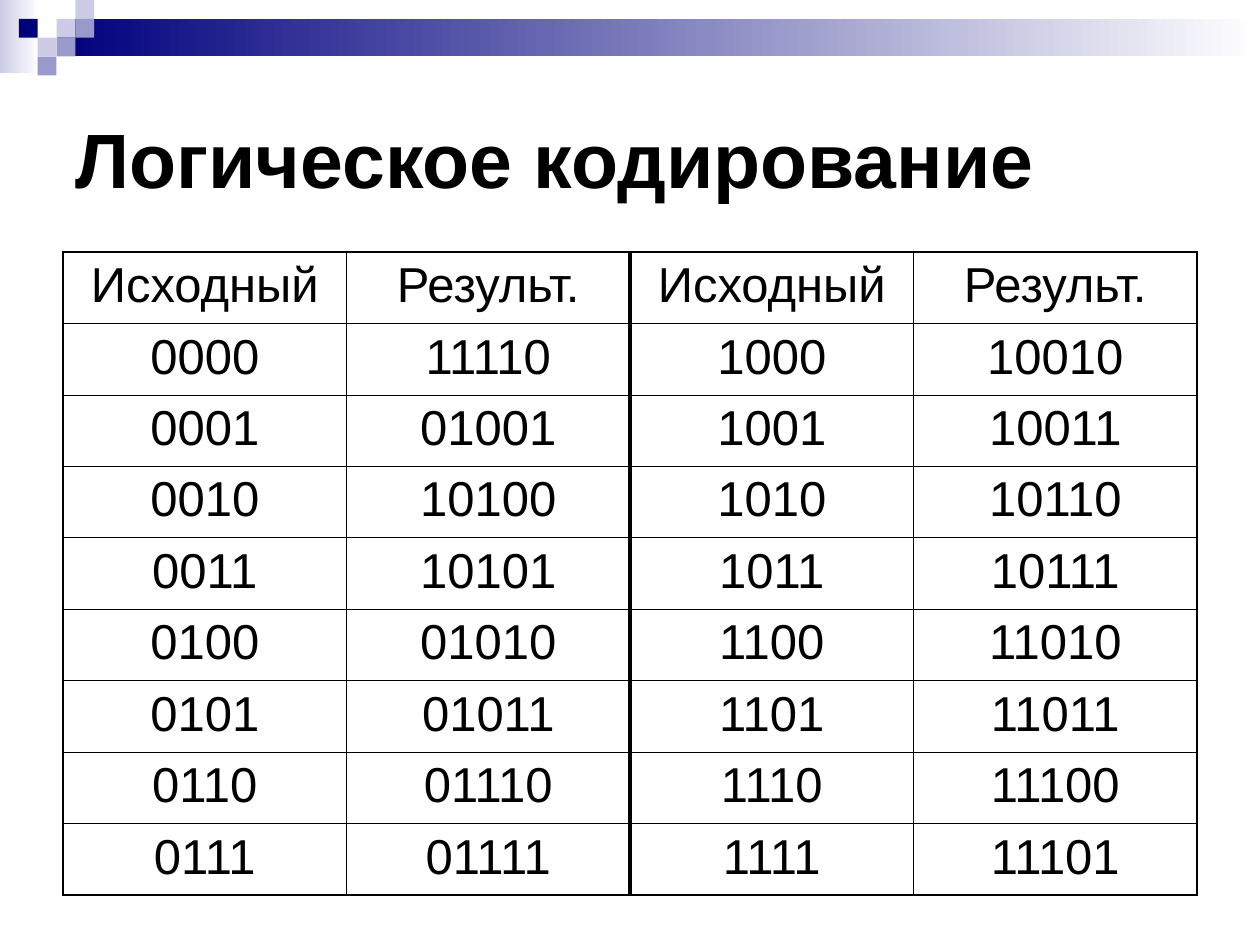
from pptx import Presentation
from pptx.dml.color import RGBColor
from pptx.enum.shapes import MSO_SHAPE as Shape
from pptx.enum.text import MSO_ANCHOR as Anchor, MSO_AUTO_SIZE as AutoSize, PP_ALIGN as Align
from pptx.oxml import parse_xml
from pptx.oxml.ns import nsdecls
from pptx.util import Cm, Pt

NAVY, VIOLET, LILAC, WHITE, BLACK = "00007D", "9999CC", "CCCCE6", "FFFFFF", "000000"
THIN, OUTER, MIDDLE = 0.45, 1.08, 3
SQUARE = 0.38

# Column and row of each square in the corner pattern
SQUARES = [
    (3, 1, LILAC), (4, 0, LILAC), (4, 1, VIOLET), (2, 2, LILAC),
    (1, 1, NAVY), (3, 2, VIOLET), (2, 3, VIOLET),
]
HEADINGS = ["Исходный", "Результ."]
CODES = [
    "11110", "01001", "10100", "10101", "01010", "01011", "01110", "01111",
    "10010", "10011", "10110", "10111", "11010", "11011", "11100", "11101",
]
TITLE_FONT = {"name": "Arial", "size": Pt(44), "bold": True}
CELL_FONT = {"name": "Arial", "size": Pt(28), "bold": False}


def color(value):
    return RGBColor.from_string(value)


def format_paragraph(paragraph, alignment, font_format):
    paragraph.alignment = alignment
    for name, value in font_format.items():
        setattr(paragraph.font, name, value)
    paragraph.font.color.rgb = color(BLACK)


def add_rectangle(slide, left, top, width, height, *colors):
    """Add a borderless rectangle: one colour is solid, two are a gradient."""
    shape = slide.shapes.add_shape(
        Shape.RECTANGLE, Cm(left), Cm(top), Cm(width), Cm(height))
    shape.shadow.inherit = False
    shape.line.fill.background()
    if len(colors) == 1:
        shape.fill.solid()
        shape.fill.fore_color.rgb = color(colors[0])
    else:
        shape.fill.gradient()
        shape.fill.gradient_angle = 0
        for stop, value in zip(shape.fill.gradient_stops, colors):
            stop.color.rgb = color(value)


def add_decoration(slide):
    add_rectangle(slide, 0, 0, 0.79, 1.47, LILAC, WHITE)
    add_rectangle(slide, 1.14, 0.38, 24.26, 0.76, NAVY, WHITE)
    for column, row, value in SQUARES:
        add_rectangle(slide, column * SQUARE, row * SQUARE, SQUARE, SQUARE, value)


def fill_title(slide, text):
    title = slide.shapes.title
    title.left, title.top, title.width, title.height = Cm(1.27), Cm(1.27), Cm(22.86), Cm(3.81)
    frame = title.text_frame
    frame.text = text
    frame.word_wrap = True
    frame.auto_size = AutoSize.NONE
    frame.vertical_anchor = Anchor.MIDDLE
    format_paragraph(frame.paragraphs[0], Align.LEFT, TITLE_FONT)
    # Bring the title in front of the decoration
    title.element.getparent().append(title.element)


def set_borders(cell, widths):
    """Draw black borders with widths given for left, right, top and bottom."""
    properties = cell._tc.get_or_add_tcPr()
    for index, (side, width) in enumerate(zip("LRTB", widths)):
        properties.insert(index, parse_xml(
            f'<a:ln{side} {nsdecls("a")} w="{Pt(width)}"><a:solidFill>'
            f'<a:srgbClr val="{BLACK}"/></a:solidFill></a:ln{side}>'))


def add_code_table(slide, rows):
    row_count, column_count = len(rows), len(rows[0])
    table = slide.shapes.add_table(
        row_count, column_count, Cm(1.27), Cm(5.08), Cm(22.86), Cm(12.96)).table
    table.first_row = table.horz_banding = False
    # Border widths from left to right and from top to bottom
    vertical = [OUTER, THIN, MIDDLE, THIN, OUTER]
    horizontal = [OUTER] + [THIN] * (row_count - 1) + [OUTER]
    for r, values in enumerate(rows):
        for c, value in enumerate(values):
            cell = table.cell(r, c)
            cell.text = value
            cell.fill.background()
            format_paragraph(cell.text_frame.paragraphs[0], Align.CENTER, CELL_FONT)
            set_borders(cell, vertical[c:c + 2] + horizontal[r:r + 2])


def main():
    presentation = Presentation()
    presentation.slide_width, presentation.slide_height = Cm(25.4), Cm(19.05)
    slide = presentation.slides.add_slide(presentation.slide_layouts[5])
    add_decoration(slide)
    fill_title(slide, "Логическое кодирование")

    # Each row pairs a code from the lower half with one from the upper half
    pairs = [[f"{number:04b}", code] for number, code in enumerate(CODES)]
    half = len(pairs) // 2
    rows = [HEADINGS * 2] + [low + high for low, high in zip(pairs[:half], pairs[half:])]
    add_code_table(slide, rows)
    presentation.save("out.pptx")


if __name__ == "__main__":
    main()
